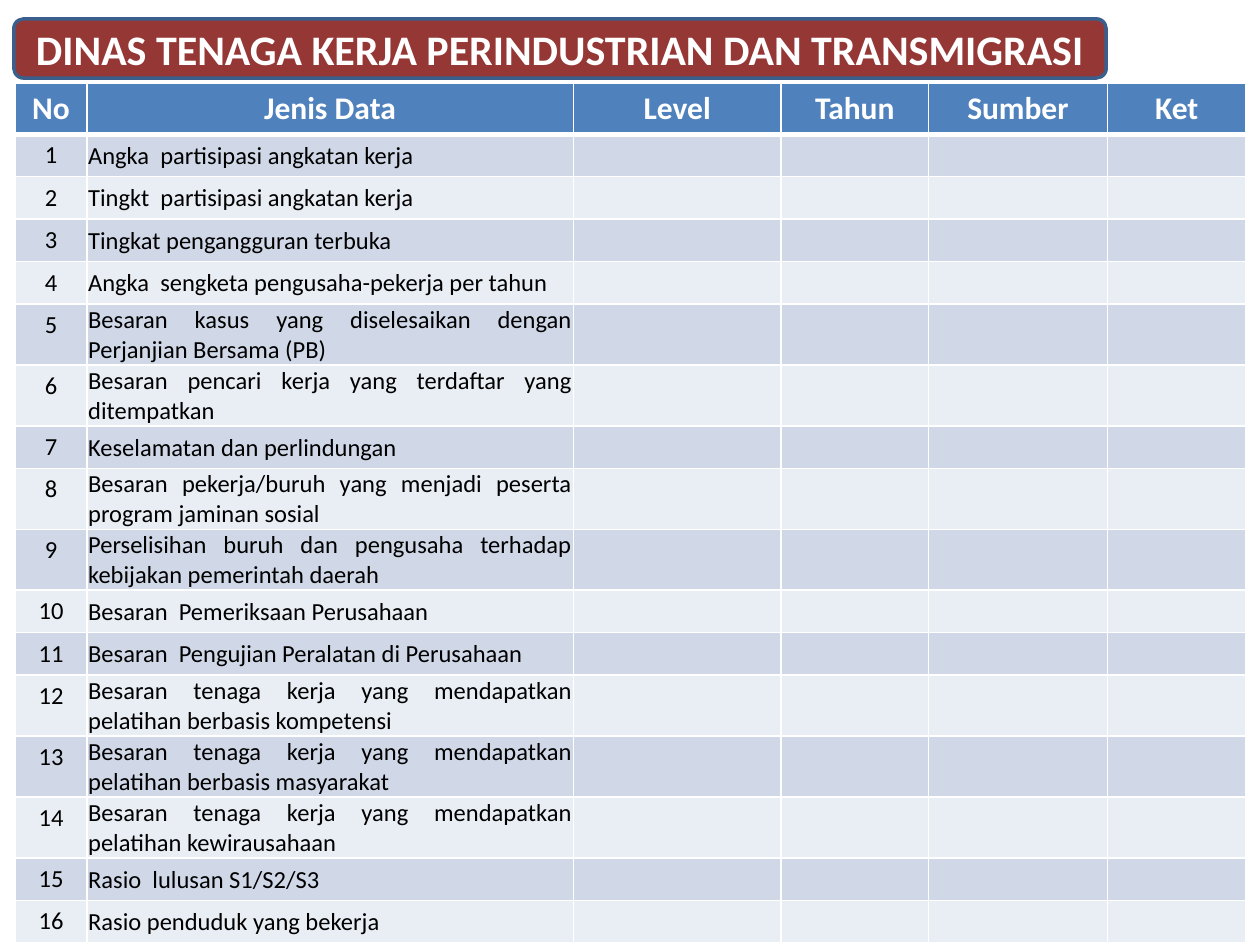
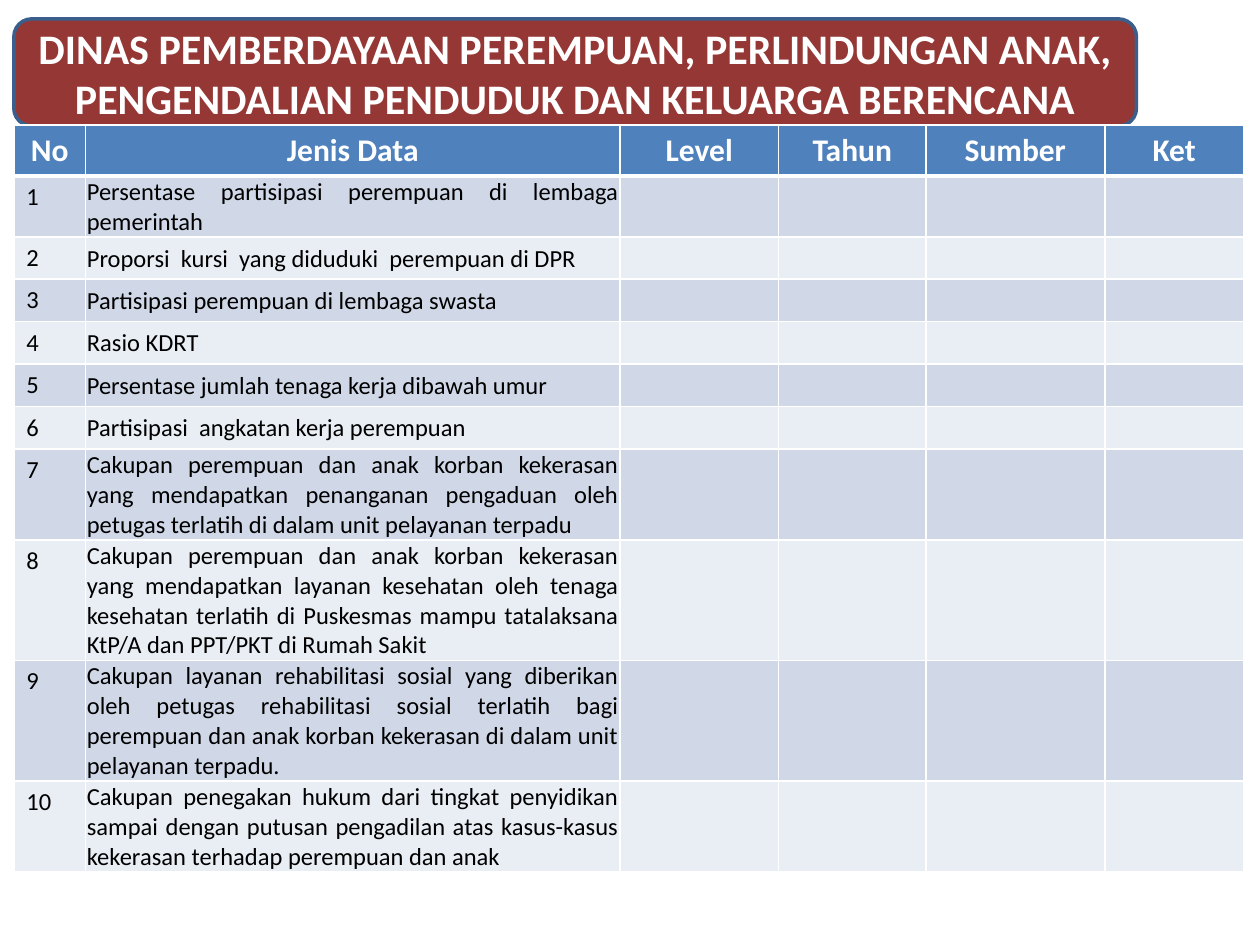
from lxml.etree import SubElement
from pptx import Presentation
from pptx.dml.color import RGBColor
from pptx.enum.shapes import MSO_SHAPE
from pptx.enum.text import MSO_ANCHOR, PP_ALIGN
from pptx.oxml.ns import qn
from pptx.util import Inches, Pt

# Shared colours and text formats
MAROON = RGBColor(0x95, 0x37, 0x35)
BANNER_EDGE = RGBColor(0x3A, 0x5F, 0x8C)
HEADER_BLUE = RGBColor(0x4F, 0x81, 0xBD)
BAND_DARK = RGBColor(0xD0, 0xD8, 0xE8)
BAND_LIGHT = RGBColor(0xE9, 0xED, 0xF4)
WHITE = RGBColor(0xFF, 0xFF, 0xFF)
BLACK = RGBColor(0x00, 0x00, 0x00)

TITLE_FONT = {"name": "Calibri", "size": Pt(24), "bold": True}
HEADER_FONT = {"name": "Calibri", "size": Pt(18), "bold": True}
BODY_FONT = {"name": "Calibri", "size": Pt(14), "bold": False}
TIGHT_CELL = {
    "margin_left": Inches(0.01),
    "margin_right": Inches(0.01),
    "margin_top": Inches(0.01),
    "margin_bottom": 0,
    "vertical_anchor": MSO_ANCHOR.MIDDLE,
}

HEADINGS = ["No", "Jenis Data", "Level", "Tahun", "Sumber", "Ket"]
ONE_LINE = 50  # longer entries wrap and are justified

# Content of each agency's slide
AGENCIES = [
    {
        "title": "DINAS TENAGA KERJA PERINDUSTRIAN DAN TRANSMIGRASI",
        "banner_size": (8.67, 0.47),
        "table_at": (0.12, 0.66),
        "columns": [0.57, 3.86, 1.65, 1.17, 1.42, 1.1],
        "number_align": PP_ALIGN.CENTER,
        "indicators": [
            "Angka  partisipasi angkatan kerja",
            "Tingkt  partisipasi angkatan kerja",
            "Tingkat pengangguran terbuka",
            "Angka  sengketa pengusaha-pekerja per tahun",
            "Besaran kasus yang diselesaikan dengan Perjanjian Bersama (PB)",
            "Besaran pencari kerja yang terdaftar yang ditempatkan",
            "Keselamatan dan perlindungan",
            "Besaran pekerja/buruh yang menjadi peserta program jaminan sosial",
            "Perselisihan buruh dan pengusaha terhadap kebijakan pemerintah daerah",
            "Besaran  Pemeriksaan Perusahaan",
            "Besaran  Pengujian Peralatan di Perusahaan",
            "Besaran tenaga kerja yang mendapatkan pelatihan berbasis kompetensi",
            "Besaran tenaga kerja yang mendapatkan pelatihan berbasis masyarakat",
            "Besaran tenaga kerja yang mendapatkan pelatihan kewirausahaan",
            "Rasio  lulusan S1/S2/S3",
            "Rasio penduduk yang bekerja",
        ],
    },
    {
        "title": "DINAS PEMBERDAYAAN PEREMPUAN, PERLINDUNGAN ANAK, "
                 "PENGENDALIAN PENDUDUK DAN KELUARGA BERENCANA",
        "banner_size": (8.91, 0.85),
        "table_at": (0.11, 0.99),
        "columns": [0.57, 4.24, 1.26, 1.17, 1.42, 1.1],
        "number_align": PP_ALIGN.LEFT,
        "indicators": [
            "Persentase partisipasi perempuan di lembaga pemerintah",
            "Proporsi  kursi  yang diduduki  perempuan di DPR",
            "Partisipasi perempuan di lembaga swasta",
            "Rasio KDRT",
            "Persentase jumlah tenaga kerja dibawah umur",
            "Partisipasi  angkatan kerja perempuan",
            "Cakupan perempuan dan anak korban kekerasan yang mendapatkan "
            "penanganan pengaduan oleh petugas terlatih di dalam unit "
            "pelayanan terpadu",
            "Cakupan perempuan dan anak korban kekerasan yang mendapatkan "
            "layanan kesehatan oleh tenaga kesehatan terlatih di Puskesmas "
            "mampu tatalaksana KtP/A dan PPT/PKT di Rumah Sakit",
            "Cakupan layanan rehabilitasi sosial yang diberikan oleh petugas "
            "rehabilitasi sosial terlatih bagi perempuan dan anak korban "
            "kekerasan di dalam unit pelayanan terpadu.",
            "Cakupan penegakan hukum dari tingkat penyidikan sampai dengan "
            "putusan pengadilan atas kasus-kasus kekerasan terhadap perempuan "
            "dan anak",
        ],
    },
]


def set_values(target, values):
    for name, value in values.items():
        setattr(target, name, value)


class AgencyDeck:
    """Holds the presentation, the current slide and the shared look."""

    def __init__(self):
        self.deck = Presentation()
        self.deck.slide_width = Inches(10)
        self.deck.slide_height = Inches(7.5)
        self.slide = None

    def new_slide(self):
        self.slide = self.deck.slides.add_slide(self.deck.slide_layouts[6])

    def add_text(self, paragraph, text, font, color, align):
        paragraph.alignment = align
        run = paragraph.add_run()
        run.text = text
        set_values(run.font, font)
        run.font.color.rgb = color

    def banner(self, title, size):
        width, height = size
        banner = self.slide.shapes.add_shape(
            MSO_SHAPE.ROUNDED_RECTANGLE,
            Inches(0.11), Inches(0.15), Inches(width), Inches(height))
        banner.shadow.inherit = False
        banner.fill.solid()
        banner.fill.fore_color.rgb = MAROON
        banner.line.color.rgb = BANNER_EDGE
        banner.line.width = Pt(2)
        frame = banner.text_frame
        frame.word_wrap = True
        frame.vertical_anchor = MSO_ANCHOR.MIDDLE
        self.add_text(frame.paragraphs[0], title, TITLE_FONT, WHITE, PP_ALIGN.CENTER)

    def paint_cell(self, cell, row):
        # White rules, heavier between the header and the first entry
        rules = {"L": 1, "R": 1, "T": 3 if row == 1 else 1, "B": 3 if row == 0 else 1}
        properties = cell._tc.get_or_add_tcPr()
        for side, points in rules.items():
            rule = SubElement(properties, qn(f"a:ln{side}"), w=str(Pt(points)))
            SubElement(SubElement(rule, qn("a:solidFill")), qn("a:srgbClr"), val=str(WHITE))
        cell.fill.solid()
        band = BAND_DARK if row % 2 else BAND_LIGHT
        cell.fill.fore_color.rgb = band if row else HEADER_BLUE

    def indicator_table(self, at, columns, indicators, number_align):
        left, top = at
        row_count = len(indicators) + 1
        table = self.slide.shapes.add_table(
            row_count, len(columns), Inches(left), Inches(top),
            Inches(sum(columns)), Inches(0.36 + 0.33 * len(indicators))).table
        for column, width in zip(table.columns, columns):
            column.width = Inches(width)
        for index, row in enumerate(table.rows):
            row.height = Inches(0.33 if index else 0.36)
            for cell in row.cells:
                self.paint_cell(cell, index)

        # Header row
        for cell, heading in zip(table.rows[0].cells, HEADINGS):
            self.add_text(cell.text_frame.paragraphs[0], heading,
                          HEADER_FONT, WHITE, PP_ALIGN.CENTER)

        # Numbered entries, with the remaining columns left open
        for number, indicator in enumerate(indicators, start=1):
            number_cell, name_cell = table.cell(number, 0), table.cell(number, 1)
            self.add_text(number_cell.text_frame.paragraphs[0], str(number),
                          BODY_FONT, BLACK, number_align)
            set_values(name_cell, TIGHT_CELL)
            align = PP_ALIGN.JUSTIFY if len(indicator) > ONE_LINE else PP_ALIGN.LEFT
            self.add_text(name_cell.text_frame.paragraphs[0], indicator,
                          BODY_FONT, BLACK, align)
            for column in range(2, len(columns)):
                open_line = table.cell(number, column).text_frame.paragraphs[0]
                SubElement(open_line._p, qn("a:endParaRPr"), sz="1400")


def main():
    agency_deck = AgencyDeck()
    for agency in AGENCIES:
        agency_deck.new_slide()
        agency_deck.banner(agency["title"], agency["banner_size"])
        agency_deck.indicator_table(agency["table_at"], agency["columns"],
                                    agency["indicators"], agency["number_align"])
    agency_deck.deck.save("out.pptx")


if __name__ == "__main__":
    main()
